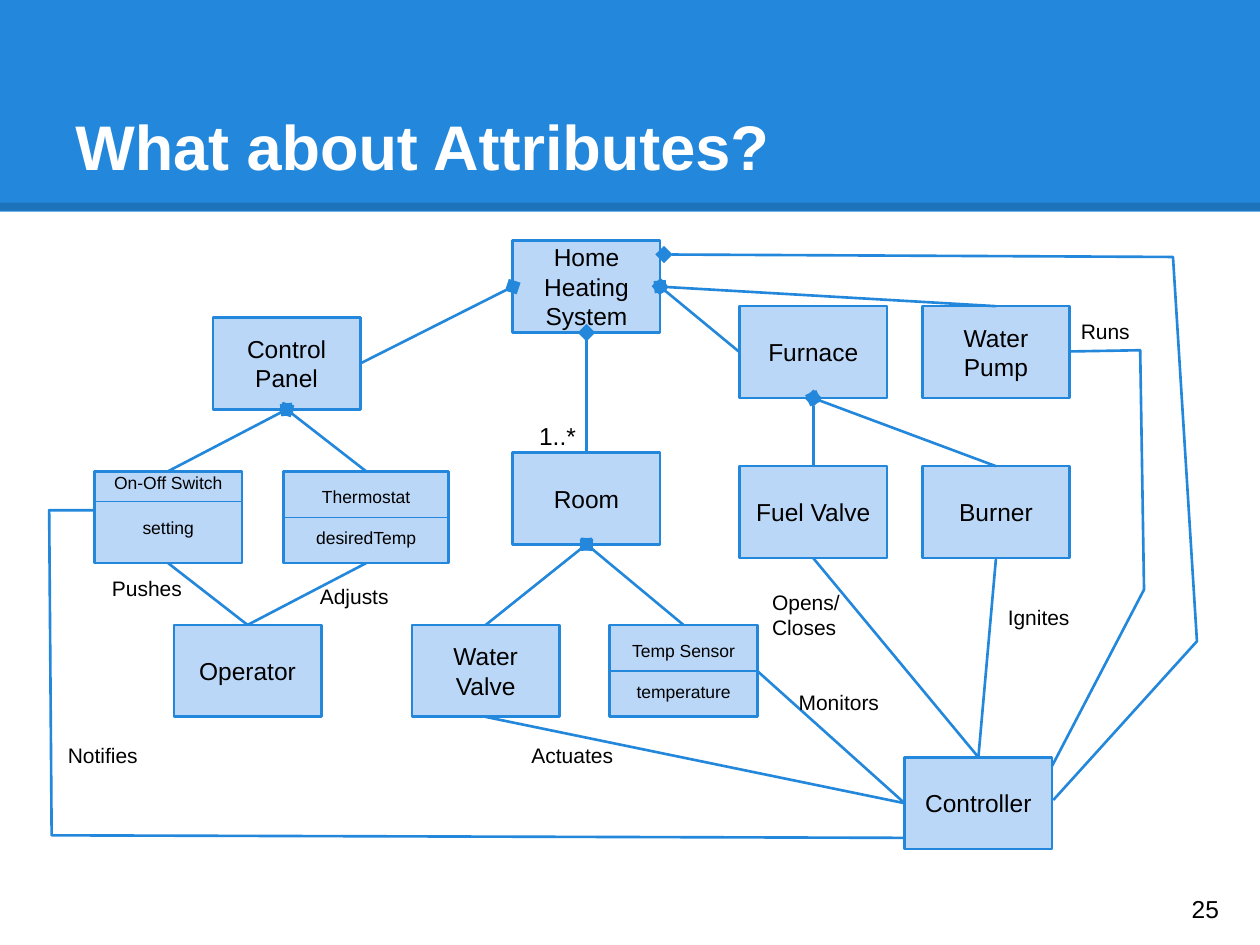
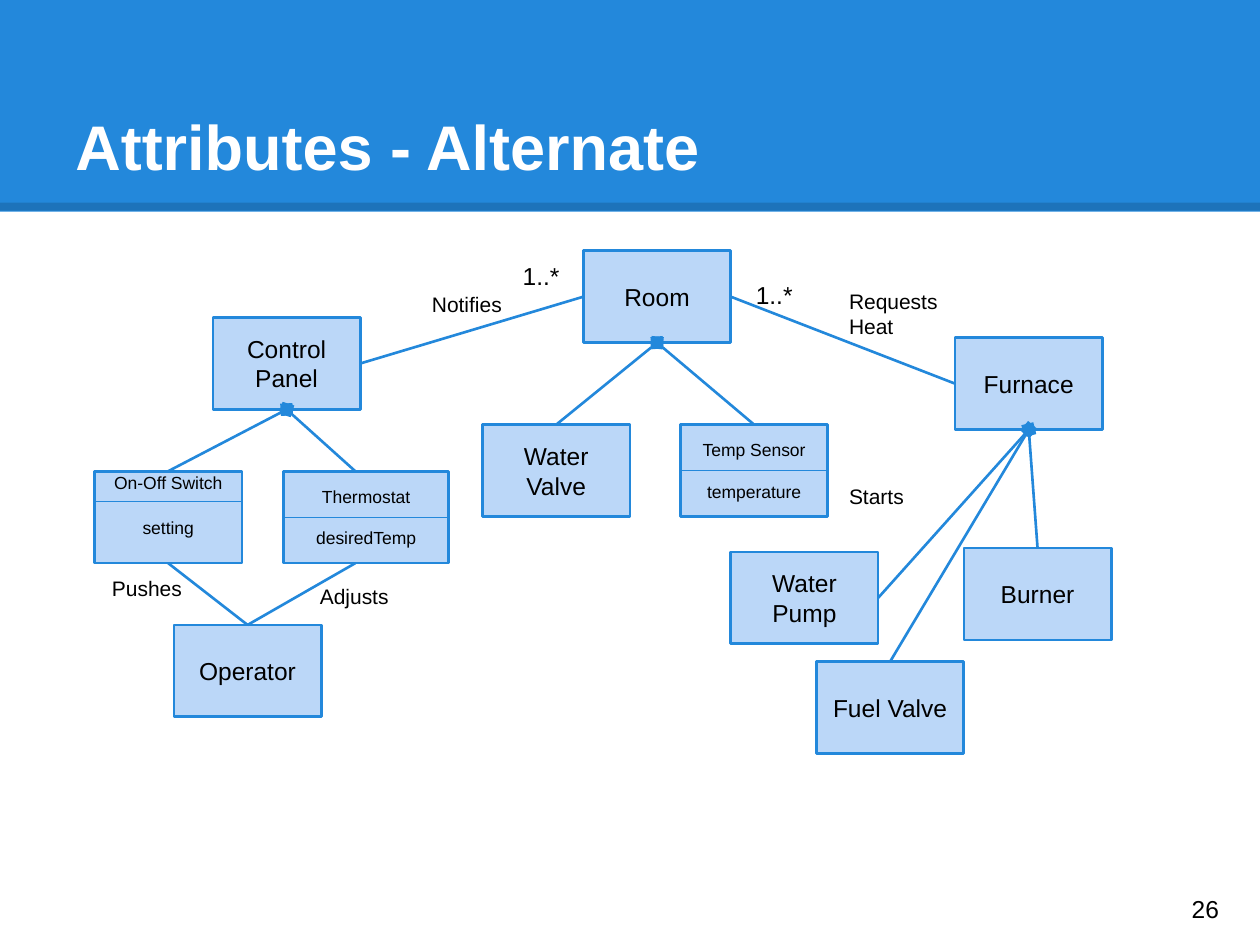
import dataclasses

import lxml.etree
import pptx
import pptx.dml.color
import pptx.enum.shapes
import pptx.enum.text
import pptx.oxml.ns
import pptx.util

Pt = pptx.util.Pt
qn = pptx.oxml.ns.qn
Rgb = pptx.dml.color.RGBColor.from_string
Rect = pptx.enum.shapes.MSO_SHAPE.RECTANGLE
Straight = pptx.enum.shapes.MSO_CONNECTOR.STRAIGHT
Anchor = pptx.enum.text.MSO_ANCHOR
Align = pptx.enum.text.PP_ALIGN


@dataclasses.dataclass(frozen=True)
class Theme:
    font: str = "Arial"
    blue: str = "2388DB"
    pale: str = "BBD7F8"
    ink: str = "000000"
    white: str = "FFFFFF"
    head: int = 36
    body: int = 14
    label: int = 12
    small: int = 10


look = Theme()
deck = pptx.Presentation()
deck.slide_width = pptx.util.Inches(10)
deck.slide_height = pptx.util.Inches(7.5)
UNIT = deck.slide_width // 100  # square grid: 100 columns by 75 rows
PAD = UNIT
WIDE, TALL = 11.7, 7.3  # a class box, in columns and rows
TOP, LEFT, LOW, RIGHT = range(4)


def write(shape, lines, size, tint=look.ink, align=Align.LEFT, anchor=Anchor.TOP):
    frame = shape.text_frame
    frame.word_wrap = True
    frame.vertical_anchor = anchor
    frame.margin_left = frame.margin_right = PAD
    frame.margin_top = frame.margin_bottom = PAD
    frame.text = "\n".join(lines)
    for para in frame.paragraphs:
        para.alignment = align
        para.font.name = look.font
        para.font.size = Pt(size)
        para.font.color.rgb = Rgb(tint)
    return frame


def stroke(shape, width=1.5, tint=look.blue, tip=False):
    """Style an outline or line, with a diamond at its end if tip is set."""
    shape.line.color.rgb = Rgb(tint)
    shape.line.width = Pt(width)
    if tip:
        lxml.etree.SubElement(
            shape.line._get_or_add_ln(), qn("a:tailEnd"),
            type="diamond", w="lg", len="lg")
    props = shape._element.spPr
    if props.find(qn("a:effectLst")) is None:
        lxml.etree.SubElement(props, qn("a:effectLst"))


# Boxes: name, column, row
panel_boxes = [("Control Panel", 16.9, 25.2), ("Operator", 13.8, 49.6)]
# Split boxes: name, attribute, column, row, width, divider depth, gap in points
panel_splits = [
    ("On-Off Switch", "setting", 7.5, 37.4, WIDE, 2.4, 13.8),
    ("Thermostat", "desiredTemp", 22.5, 37.4, 13.1, TALL / 2, 11.5),
]
# Links: start, side, end, side, diamond; a start or end may be a grid point
shared_links = [
    ("On-Off Switch", TOP, "Control Panel", LOW, True),
    ("Operator", TOP, "On-Off Switch", LOW, False),
    ("Water Valve", TOP, "Room", LOW, True),
    ("Temp Sensor", TOP, "Room", LOW, True),
]
# Labels: text, column, row
panel_labels = [("Pushes", 7.9, 44.7), ("Adjusts", 24.4, 45.3)]

pages = [
    dict(
        title="What about Attributes?",
        number="25",
        boxes=[
            ("Home Heating System", 40.7, 19.1), ("Room", 40.7, 35.9),
            ("Furnace", 58.7, 24.3), ("Water Pump", 73.2, 24.3),
            ("Fuel Valve", 58.7, 37), ("Burner", 73.2, 37),
            ("Water Valve", 32.7, 49.6), ("Controller", 71.8, 60.1),
        ],
        sensor=(48.4, 49.6),
        links=[
            ("Control Panel", RIGHT, "Home Heating System", LEFT, True),
            ("Room", TOP, "Home Heating System", LOW, True),
            ("Furnace", LEFT, "Home Heating System", RIGHT, True),
            ("Water Pump", TOP, "Home Heating System", RIGHT, True),
            ("Fuel Valve", TOP, "Furnace", LOW, True),
            ("Burner", TOP, "Furnace", LOW, True),
            ("Controller", LEFT, "Water Valve", LOW, False),
            ("Controller", LEFT, "Temp Sensor", RIGHT, False),
            ("Controller", TOP, "Fuel Valve", LOW, False),
            ("Controller", TOP, "Burner", LOW, False),
            ("Thermostat", TOP, "Control Panel", LOW, True),
            ("Operator", TOP, "Thermostat", LOW, False),
        ],
        routes=[
            ([(83.6, 63.5), (95, 50.9), (93.1, 20.4), (52.7, 20.2)], True),
            ([(83.5, 60.8), (90.8, 46.8), (90.5, 27.8), (84.9, 27.9)], False),
            ([(71.8, 66.5), (4.1, 66.3), (3.9, 40.5), (7.5, 40.5)], False),
        ],
        labels=[
            ("Monitors", 62.4, 53.7), ("Actuates", 41.2, 57.9),
            ("Runs", 84.8, 24.3), ("Opens/ Closes", 60.3, 45.8),
            ("Ignites", 79, 47), ("Notifies", 4.4, 57.9),
        ],
        counts=[(41.8, 32.4)],
    ),
    dict(
        title="Attributes - Alternate",
        number="26",
        boxes=[
            ("Room", 46.3, 19.9), ("Furnace", 75.8, 26.8),
            ("Water Pump", 58, 43.8), ("Burner", 76.5, 43.5),
            ("Fuel Valve", 64.8, 52.5), ("Water Valve", 38.3, 33.7),
        ],
        sensor=(54, 33.7),
        links=[
            ("Control Panel", RIGHT, "Room", LEFT, False),
            ("Room", RIGHT, "Furnace", LEFT, False),
            ("Fuel Valve", TOP, "Furnace", LOW, True),
            ("Burner", TOP, "Furnace", LOW, True),
            ("Water Pump", RIGHT, "Furnace", LOW, False),
            ((28.2, 37.4), None, "Control Panel", LOW, True),
            ("Operator", TOP, (28.2, 44.7), None, False),
        ],
        routes=[],
        labels=[
            ("Notifies", 33.3, 22.1), ("Requests Heat", 66.4, 21.9),
            ("Starts", 66.4, 37.4),
        ],
        counts=[(40.5, 19.7), (59, 21.2)],
    ),
]

for page in pages:
    shapes = deck.slides.add_slide(deck.slide_layouts[6]).shapes

    # Title band, its translucent lower edge, title and number
    band = shapes.add_shape(Rect, 0, 0, deck.slide_width, int(16.8 * UNIT))
    band.shadow.inherit = False
    band.fill.solid()
    band.fill.fore_color.rgb = Rgb(look.blue)
    band.line.fill.background()
    edge = shapes.add_connector(
        Straight, 0, int(16.4 * UNIT), deck.slide_width, int(16.4 * UNIT))
    stroke(edge, 4.5, look.ink)
    tone = edge._element.spPr.find(".//" + qn("a:srgbClr"))
    lxml.etree.SubElement(tone, qn("a:alpha"), val="15000")
    title = shapes.add_textbox(5 * UNIT, 3 * UNIT, 90 * UNIT, int(12.5 * UNIT))
    frame = write(title, [page["title"]], look.head, look.white, anchor=Anchor.BOTTOM)
    frame.paragraphs[0].font.bold = True
    number = shapes.add_textbox(
        int(93.6 * UNIT), int(69.3 * UNIT), 6 * UNIT, int(5.7 * UNIT))
    write(number, [page["number"]], look.body, anchor=Anchor.MIDDLE)

    # Class boxes, plain and split
    splits = panel_splits + [
        ("Temp Sensor", "temperature", *page["sensor"], WIDE, TALL / 2, 11.5)]
    plain = [((name,), x, y, WIDE, None, 0) for name, x, y in panel_boxes + page["boxes"]]
    parted = [((name, field), *rest) for name, field, *rest in splits]
    nodes = {}
    for lines, x, y, wide, depth, gap in plain + parted:
        box = shapes.add_shape(
            Rect, int(x * UNIT), int(y * UNIT), int(wide * UNIT), int(TALL * UNIT))
        box.shadow.inherit = False
        box.fill.solid()
        box.fill.fore_color.rgb = Rgb(look.pale)
        stroke(box)
        size = look.small if depth else look.body
        frame = write(box, lines, size, align=Align.CENTER, anchor=Anchor.MIDDLE)
        frame.margin_top = frame.margin_bottom = 0
        nodes[lines[0]] = box
        if depth:
            frame.paragraphs[1].space_before = Pt(gap)
            level = int((y + depth) * UNIT)
            rule = shapes.add_connector(
                Straight, box.left, level, box.left + box.width, level)
            stroke(rule, 0.75)
            if depth == TALL / 2:
                rule.begin_connect(box, LEFT)
                rule.end_connect(box, RIGHT)
            else:
                frame.margin_bottom = Pt(gap)  # lifts the name above the high divider

    # Straight links
    for start, out, end, into, tip in shared_links + page["links"]:
        link = shapes.add_connector(Straight, 0, 0, 0, 0)
        if out is None:
            link.begin_x, link.begin_y = [int(n * UNIT) for n in start]
        else:
            link.begin_connect(nodes[start], out)
        if into is None:
            link.end_x, link.end_y = [int(n * UNIT) for n in end]
        else:
            link.end_connect(nodes[end], into)
        stroke(link, tip=tip)

    # Bent routes to the controller
    for points, tip in page["routes"]:
        first, *rest = [(int(x * UNIT), int(y * UNIT)) for x, y in points]
        pen = shapes.build_freeform(*first)
        pen.add_line_segments(rest, close=False)
        route = pen.convert_to_shape()
        route.shadow.inherit = False
        route.fill.background()
        stroke(route, tip=tip)

    # Link names and counts
    notes = [(*label, 9.4, 4.9, look.label) for label in panel_labels + page["labels"]]
    notes += [("1..*", x, y, 5.8, 2.4, look.body) for x, y in page["counts"]]
    for text, x, y, wide, tall, size in notes:
        note = shapes.add_textbox(*[int(n * UNIT) for n in (x, y, wide, tall)])
        write(note, [text], size)

deck.save("out.pptx")
